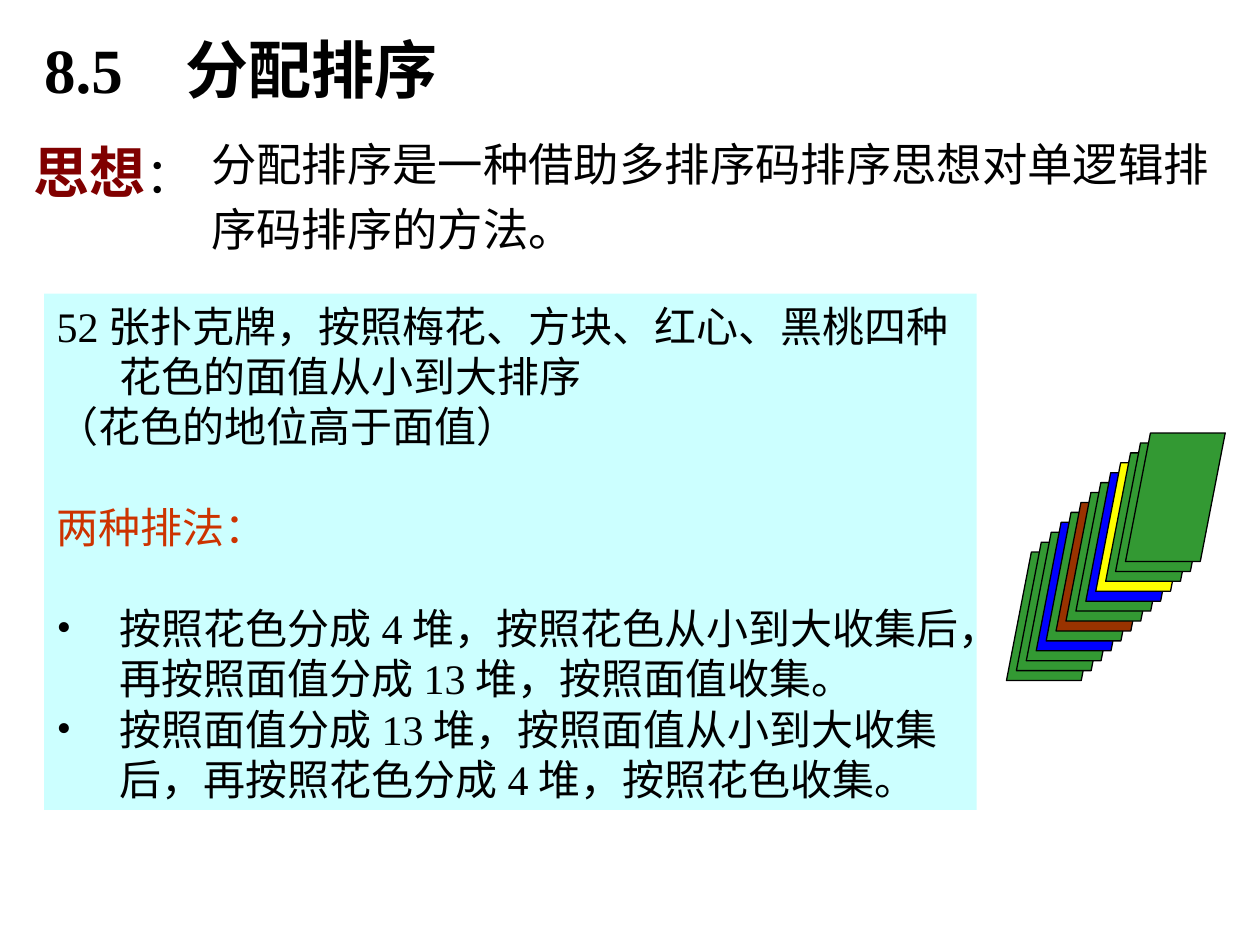
from lxml.etree import SubElement
from pptx import Presentation
from pptx.dml.color import RGBColor
from pptx.enum.shapes import MSO_SHAPE as Shape
from pptx.enum.text import MSO_ANCHOR as Anchor, PP_ALIGN as Align
from pptx.oxml.ns import qn
from pptx.util import Cm, Pt

COLORS = {
    "black": "000000", "maroon": "800000", "red": "CC3300", "panel": "CCFFFF",
    "green": "339933", "blue": "0000FF", "brown": "993300", "yellow": "FFFF00",
}
LATIN, CJK = "Times New Roman", "Noto Sans CJK SC"


def rgb(name):
    return RGBColor.from_string(COLORS[name])


def add_run(paragraph, text, size=24, color="black", bold=False, font=LATIN):
    run = paragraph.add_run()
    run.text = text
    run.font.size, run.font.bold = Pt(size), bold
    run.font.color.rgb = rgb(color)
    run.font.name = font
    SubElement(run.font._element, qn("a:ea"), typeface=CJK)


class SlideBuilder:
    def __init__(self, slide):
        self.slide = slide

    def frame(self, shape, anchor=Anchor.TOP):
        frame = shape.text_frame
        frame.word_wrap = True
        frame.vertical_anchor = anchor
        frame.margin_left = frame.margin_right = Cm(0.25)
        frame.margin_top = frame.margin_bottom = Cm(0.13)
        return frame

    def title(self, box, number, heading, tab):
        title = self.slide.shapes.title
        title.left, title.top, title.width, title.height = map(Cm, box)
        paragraph = self.frame(title, Anchor.MIDDLE).paragraphs[0]
        paragraph.alignment = Align.LEFT
        stops = SubElement(paragraph._p.get_or_add_pPr(), qn("a:tabLst"))
        SubElement(stops, qn("a:tab"), pos=str(Cm(tab)), algn="l")
        add_run(paragraph, f"{number}\t{heading}", size=36, bold=True)

    def text(self, box, runs, line_spacing, anchor=Anchor.TOP):
        textbox = self.slide.shapes.add_textbox(*map(Cm, box))
        paragraph = self.frame(textbox, anchor).paragraphs[0]
        paragraph.line_spacing = line_spacing
        for text, style in runs:
            add_run(paragraph, text, **style)

    def panel(self, box, items):
        panel = self.slide.shapes.add_shape(Shape.RECTANGLE, *map(Cm, box))
        panel.shadow.inherit = False
        panel.fill.solid()
        panel.fill.fore_color.rgb = rgb("panel")
        panel.line.fill.background()
        frame = self.frame(panel)
        for index, (text, color, gap, bullet) in enumerate(items):
            paragraph = frame.add_paragraph() if index else frame.paragraphs[0]
            paragraph.alignment = Align.LEFT
            paragraph.space_before = Pt(gap)
            self.hang(paragraph, 1.27, bullet)
            add_run(paragraph, text, color=color)

    def hang(self, paragraph, indent, bullet):
        props = paragraph._p.get_or_add_pPr()
        props.set("marL", str(Cm(indent)))
        props.set("indent", str(-Cm(indent)))
        if bullet:
            SubElement(SubElement(props, qn("a:buClr")), qn("a:srgbClr"), val=COLORS["black"])
            SubElement(props, qn("a:buFont"), typeface=LATIN)
            SubElement(props, qn("a:buChar"), char="•")

    def card_stack(self, left, top, width, height, step, colors):
        stack = self.slide.shapes.add_group_shape()
        for index, color in enumerate(colors):
            place = (left + index * step, top - index * step, width, height)
            card = stack.shapes.add_shape(Shape.PARALLELOGRAM, *map(Cm, place))
            card.adjustments[0] = 0.25
            card.shadow.inherit = False
            card.fill.solid()
            card.fill.fore_color.rgb = rgb(color)
            card.line.color.rgb = rgb("black")
            card.line.width = Pt(0.75)


def main():
    prs = Presentation()
    prs.slide_width, prs.slide_height = Cm(25.4), Cm(19.05)
    builder = SlideBuilder(prs.slides.add_slide(prs.slide_layouts[5]))

    # Heading
    builder.title((0.64, 0.43, 9.32, 1.9), "8.5", "分配排序", tab=2.85)

    # Idea and its definition
    builder.text((0.43, 2.11, 4.47, 2.16), [
        ("思想", dict(size=32, color="maroon", bold=True, font=CJK)),
        ("：", dict(size=28, font=CJK)),
    ], line_spacing=1.4)
    builder.text((4.01, 2.36, 21.39, 2.97), [
        ("分配排序是一种借助多排序码排序思想对单逻辑排序码排序的方法。", dict(size=25.9)),
    ], line_spacing=1.2, anchor=Anchor.MIDDLE)

    # Stack of playing cards, back to front
    card_colors = (["green"] * 3 + ["blue", "green", "brown"] + ["green"] * 2
                   + ["blue", "yellow"] + ["green"] * 3)
    builder.card_stack(20.29, 11.13, 2.01, 2.59, 0.2, card_colors)

    # Card example: text, colour, gap before in points, bullet
    line = 28.8
    builder.panel((0.89, 5.92, 18.8, 10.41), [
        ("52张扑克牌，按照梅花、方块、红心、黑桃四种花色的面值从小到大排序", "black", 0, False),
        ("（花色的地位高于面值）", "black", 0, False),
        ("两种排法：", "red", line, False),
        ("按照花色分成4堆，按照花色从小到大收集后，再按照面值分成13堆，按照面值收集。",
         "black", line, True),
        ("按照面值分成13堆，按照面值从小到大收集后，再按照花色分成4堆，按照花色收集。",
         "black", 0, True),
    ])

    prs.save("out.pptx")


if __name__ == "__main__":
    main()
